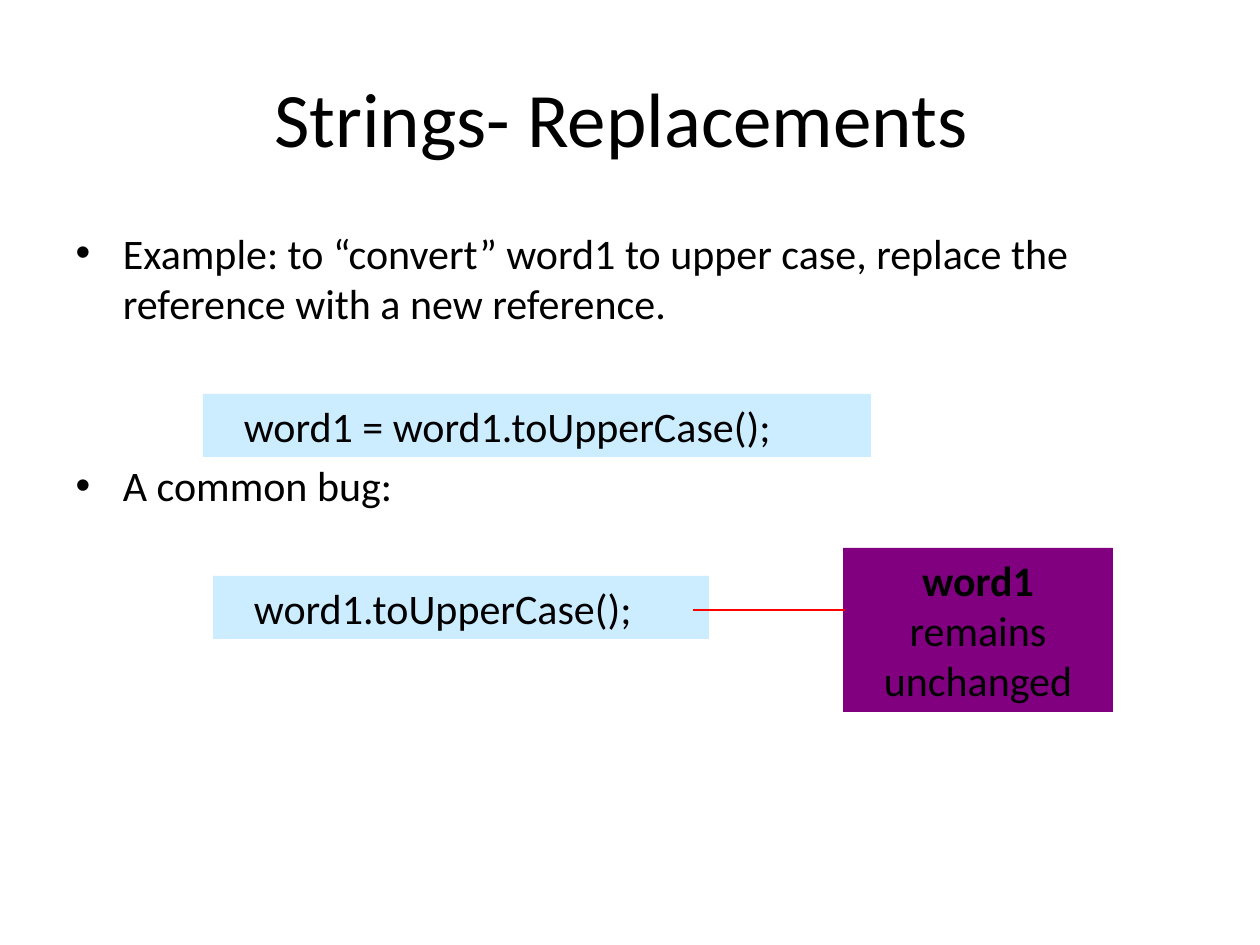
from pptx import Presentation
from pptx.dml.color import RGBColor
from pptx.enum.shapes import MSO_CONNECTOR, MSO_SHAPE
from pptx.enum.text import MSO_ANCHOR, PP_ALIGN
from pptx.oxml.ns import qn
from pptx.util import Emu, Pt
from lxml.etree import SubElement

PX_PER_INCH = 126
COLORS = {
    "text": "000000",
    "code": "CCECFF",
    "warning": "800080",
    "pointer": "FF0000",
}


def px(length):
    return Emu(round(length * 914400 / PX_PER_INCH))


def color(name):
    return RGBColor.from_string(COLORS[name])


def write(paragraph, *runs, size=24, align=PP_ALIGN.LEFT, before=0, bold_first=False):
    """Fill a paragraph with runs in the slide's text style."""
    paragraph.alignment = align
    paragraph.space_before = Pt(before)
    for index, words in enumerate(runs):
        run = paragraph.add_run()
        run.text = words
        run.font.name = "Calibri"
        run.font.size = Pt(size)
        run.font.bold = bold_first and index == 0
        run.font.color.rgb = color("text")


def place(shape, left, top, width, height):
    shape.left, shape.top = px(left), px(top)
    shape.width, shape.height = px(width), px(height)


def add_box(slide, bounds, fill, *runs, **text_format):
    box = slide.shapes.add_shape(MSO_SHAPE.RECTANGLE, *map(px, bounds))
    box.shadow.inherit = False
    box.fill.solid()
    box.fill.fore_color.rgb = color(fill)
    box.line.fill.background()
    frame = box.text_frame
    frame.word_wrap = True
    frame.vertical_anchor = MSO_ANCHOR.TOP
    write(frame.paragraphs[0], *runs, **text_format)


def add_pointer(slide, start, end):
    pointer = slide.shapes.add_connector(MSO_CONNECTOR.STRAIGHT, *map(px, start + end))
    pointer.line.color.rgb = color("pointer")
    pointer.line.width = Pt(0.75)
    SubElement(pointer._element.spPr, qn("a:effectLst"))


def main():
    presentation = Presentation()
    presentation.slide_width = px(1260)
    presentation.slide_height = px(945)
    slide = presentation.slides.add_slide(presentation.slide_layouts[1])

    # Title
    title = slide.shapes.title
    place(title, 63, 38, 1134, 158)
    title.text_frame.vertical_anchor = MSO_ANCHOR.MIDDLE
    write(title.text_frame.paragraphs[0], "Strings- Replacements ",
          size=44, align=PP_ALIGN.CENTER)

    # Bullets, with room between them for the first code line
    body = slide.placeholders[1]
    place(body, 63, 221, 1134, 624)
    write(body.text_frame.paragraphs[0],
          "Example: to “convert” word1 to upper case, "
          "replace the reference with a new reference.")
    write(body.text_frame.add_paragraph(), "A common bug:", before=75)

    # Code lines
    add_box(slide, (203, 394, 668, 63), "code", "   word1 = word1.toUpperCase();")
    add_box(slide, (213, 576, 496, 63), "code", "   word1.toUpperCase();")

    # Warning about the bug
    add_box(slide, (843, 548, 270, 164), "warning", "word1", " remains unchanged",
            align=PP_ALIGN.CENTER, bold_first=True)
    add_pointer(slide, (693, 610), (845, 610))

    presentation.save("out.pptx")


if __name__ == "__main__":
    main()
